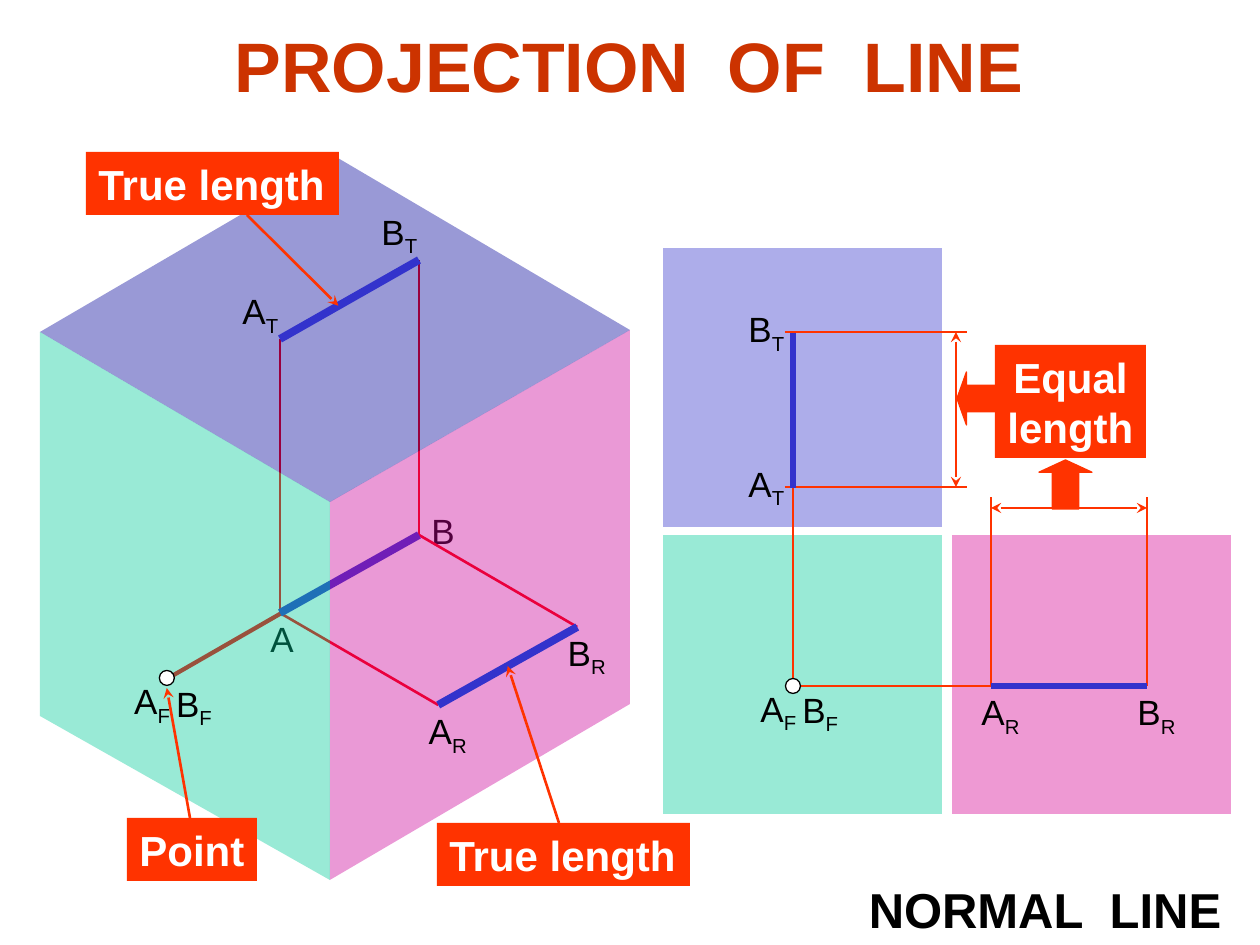
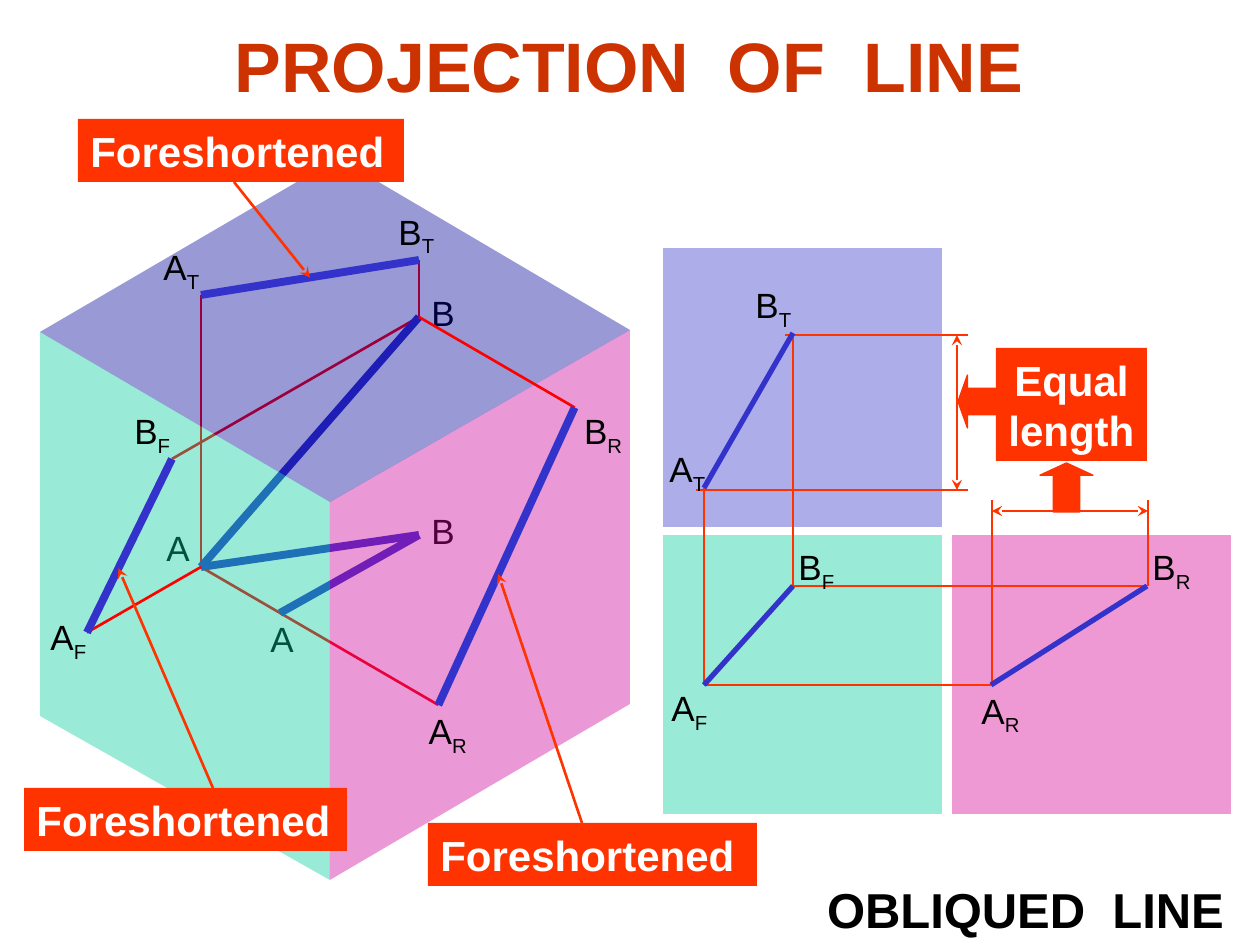
from lxml import etree
from pptx import Presentation
from pptx.dml.color import RGBColor
from pptx.enum.shapes import MSO_CONNECTOR as CONN, MSO_SHAPE as SHAPE
from pptx.enum.text import MSO_AUTO_SIZE as AUTO, PP_ALIGN as ALIGN
from pptx.oxml.ns import qn
from pptx.util import Pt

PX = 914400 / 126
WIDTH, HEIGHT = 1260, 945
FONT = "Arial"
COLORS = {
    "title": "CC3300", "text": "000000", "white": "FFFFFF",
    "ray": "FF0000", "accent": "FF3300", "edge": "3333CC",
    "front": "00CC99", "side": "D60093", "top": "3333CC",
    "side_face": "CC0099", "top_face": "000099",
}

# Shared content
TITLE = "PROJECTION  OF  LINE"
VIEW_SIZE = 281
VIEWS = {"front": (662, 534), "side": (951, 534), "top": (662, 247)}
CORNERS = {
    "left": (40, 332), "centre": (330, 502), "right": (630, 330),
    "back": (338, 158), "left_foot": (40, 716), "centre_foot": (330, 880),
    "right_foot": (630, 704),
}
FACES = {
    "side_face": ("centre", "right", "right_foot", "centre_foot"),
    "top_face": ("left", "centre", "right", "back"),
    "front": ("left", "centre", "centre_foot", "left_foot"),
}

# Screen direction from a point in the cube to each face: Front, Right, Top
AXES = {"F": (-0.87, 0.5), "R": (0.86, 0.5), "T": (0, -1)}
# Flat views: row of each end in the top view, column in the side view
ROWS = {"A": 488, "B": 333}
COLS = {"A": 991, "B": 1147}

# Label box corner relative to its point
PLACES = {
    "below": (-22, -2), "below left": (-45, -5), "below right": (-3, -4),
    "above": (-33, -56), "above left": (-50, -56), "above right": (-7, -47),
    "left": (-57, -32), "lower left": (-49, -23), "upper left": (-47, -47),
    "right": (0, -32),
}

# cube: end position, then its distance to each face; flat: front view.
# callouts: text, left, top, width, arrow start, view, place along A to B.
NORMAL = {
    "caption": ("NORMAL  LINE", 430),
    "cube": {"A": ((280, 613), {"F": 130, "R": 184, "T": 274}),
             "B": ((419, 535), {"F": 290, "R": 184, "T": 275})},
    "flat": {"A": (793, 686), "B": (793, 686)},
    "cube_labels": {"A": "below", "B": "right", "BR": "below", "AR": "below",
                    "AF": "below left", "BF": "below right",
                    "AT": "above left", "BT": "above left"},
    "flat_labels": {"AF": "below left", "BF": "below right", "BR": "below",
                    "AR": "below", "AT": "left", "BT": "left"},
    "point_view": True, "over": (), "ghost": None,
    "shift": (0, -1), "wrap": False,
    "callouts": [("True length", 86, 152, 253, 247, "T", 0.42),
                 ("True length", 437, 823, 253, 559, "R", 0.5),
                 ("Point", 127, 818, 130, 190, "F", 0.5)],
}
OBLIQUE = {
    "caption": ("OBLIQUED  LINE", 469),
    "cube": {"A": ((201, 567), {"F": 131, "R": 276, "T": 272}),
             "B": ((419, 317), {"F": 284, "R": 181, "T": 57})},
    "flat": {"A": (704, 685), "B": (793, 586)},
    "cube_labels": {"A": "upper left", "B": "right", "BR": "below right",
                    "AR": "below", "AF": "lower left", "BF": "above left",
                    "AT": "above left", "BT": "above"},
    "flat_labels": {"AF": "below left", "BF": "above right",
                    "BR": "above right", "AR": "below",
                    "AT": "upper left", "BT": "above left"},
    "point_view": False, "over": ("AF", "BR"), "ghost": NORMAL,
    "shift": (1, 2), "wrap": True,
    "callouts": [("Foreshortened", 428, 823, 329, 582, "R", 0.44),
                 ("Foreshortened", 24, 788, 323, 213, "F", 0.37),
                 ("Foreshortened", 78, 119, 326, 234, "T", 0.5)],
}


def px(*values):
    return [round(v * PX) for v in values]


def color(name):
    return RGBColor.from_string(COLORS[name])


def paint(sp, fill, line=None, alpha=None):
    sp.shadow.inherit = False
    sp.fill.solid()
    sp.fill.fore_color.rgb = color(fill)
    if alpha:
        clr = sp.fill._xPr.find(qn("a:solidFill"))[0]
        etree.SubElement(clr, qn("a:alpha"), val=str(alpha * 1000))
    if line:
        sp.line.color.rgb = color(line)
        sp.line.width = Pt(0.75)
    else:
        sp.line.fill.background()


def add_shape(s, kind, box, fill, line, alpha=None):
    sp = s.shapes.add_shape(kind, *px(*box))
    paint(sp, fill, line, alpha)
    return sp


def add_text(s, lines, box, size, ink="text", bold=False, center=False,
             wrap=False, fill=None):
    """Each line is a list of runs; runs after the first are subscripts."""
    sp = s.shapes.add_textbox(*px(*box))
    if fill:
        paint(sp, fill)
    tf = sp.text_frame
    tf.word_wrap = wrap
    tf.auto_size = AUTO.SHAPE_TO_FIT_TEXT
    for i, runs in enumerate(lines):
        p = tf.add_paragraph() if i else tf.paragraphs[0]
        p.alignment = ALIGN.CENTER if center else ALIGN.LEFT
        p.font.name, p.font.size, p.font.bold = FONT, Pt(size), bold
        p.font.color.rgb = color(ink)
        for j, text in enumerate(runs):
            r = p.add_run()
            r.text = text
            if j:
                r._r.get_or_add_rPr().set("baseline", "-25000")


def add_line(s, start, end, ink="accent", width=1.5, heads=()):
    c = s.shapes.add_connector(CONN.STRAIGHT, *px(*start, *end))
    c.line.color.rgb = color(ink)
    c.line.width = Pt(width)
    for head in heads:
        etree.SubElement(c.line._get_or_add_ln(), qn(f"a:{head}"), type="stealth")
    etree.SubElement(c._element.spPr, qn("a:effectLst"))


def add_label(s, name, point, place):
    x, y = (v + d for v, d in zip(point, PLACES[place]))
    width = 49 if len(name) == 1 else 66 if name[1] == "R" else 63
    add_text(s, [list(name)], (x, y, width, 54), 20)


def add_dot(s, center):
    size = 15
    x, y = (v - size / 2 for v in center)
    add_shape(s, SHAPE.OVAL, (x, y, size, size), "white", "text")


def cube_points(data):
    points = {}
    for end, ((x, y), distances) in data["cube"].items():
        points[end] = (x, y)
        for view, d in distances.items():
            ax, ay = AXES[view]
            points[end + view] = (x + d * ax, y + d * ay)
    return points


def flat_points(data):
    points = {}
    for end, (x, y) in data["flat"].items():
        points[end + "F"] = (x, y)
        points[end + "T"] = (x, ROWS[end])
        points[end + "R"] = (COLS[end], y)
    return points


def add_inside(s, data, points):
    ghost = data["ghost"]
    ghost_points = cube_points(ghost) if ghost else {}
    for owner, spots in ((data, points), (ghost, ghost_points)):
        if owner:
            for end in "AB":
                add_label(s, end, spots[end], owner["cube_labels"][end])
    for name in points:
        if len(name) == 2 and name not in data["over"]:
            add_line(s, points[name[0]], points[name], "ray")
    edges = [(points["A"], points["B"])]
    if ghost:
        edges += [(ghost_points["B"], a) for a in (points["A"], ghost_points["A"])]
    for start, end in edges:
        add_line(s, start, end, "edge", 4.5)


def add_projections(s, points, labels, width, point_view):
    for name, place in labels.items():
        if len(name) == 2:
            add_label(s, name, points[name], place)
    for view in "RT" if point_view else "FRT":
        add_line(s, points["A" + view], points["B" + view], "edge", width)
    if point_view:
        add_dot(s, points["AF"])


def add_equal_length(s, data):
    dx, dy = data["shift"]
    rows = {end: y + dy for end, y in ROWS.items()}
    cols = {end: x + dx for end, x in COLS.items()}
    dim_x, dim_y = 956 + dx, 509 + dy
    # Extension lines, then the two dimension arrows
    for end, (x, y) in data["flat"].items():
        add_line(s, (x - 8, rows[end]), (dim_x + 11, rows[end]))
        add_line(s, (cols[end], y), (cols[end], dim_y - 11))
    both = ("headEnd", "tailEnd")
    add_line(s, (dim_x, rows["B"]), (dim_x, rows["A"]), heads=both)
    add_line(s, (cols["A"], dim_y), (cols["B"], dim_y), heads=both)
    # Box with block arrows
    add_text(s, [["Equal"], ["length"]], (995 + dx, 346 + dy, 151, 113), 24,
             "white", bold=True, center=True, fill="accent")
    for kind, box in ((SHAPE.UP_ARROW, (1039 + dx, dim_y - 48, 53, 49)),
                      (SHAPE.LEFT_ARROW, (dim_x + 1, 373 + dy, 38, 53))):
        sp = add_shape(s, kind, box, "accent", "accent")
        sp.adjustments[0], sp.adjustments[1] = 0.5, 0.25


def add_callouts(s, data, points):
    height = 63
    for text, x, y, width, start_x, view, share in data["callouts"]:
        add_text(s, [[text]], (x, y, width, height), 24, "white", bold=True,
                 wrap=data["wrap"], fill="accent")
        a, b = points["A" + view], points["B" + view]
        tip_x, tip_y = (p + (q - p) * share for p, q in zip(a, b))
        if view == "F" and data["point_view"]:
            tip_y += 9
        start_y = y if tip_y < y else y + height
        add_line(s, (start_x, start_y), (tip_x, tip_y), heads=("tailEnd",))


def build(prs, data):
    s = prs.slides.add_slide(prs.slide_layouts[6])
    cube, flat = cube_points(data), flat_points(data)
    add_inside(s, data, cube)
    # Flat views
    for fill, corner in VIEWS.items():
        add_shape(s, SHAPE.RECTANGLE, (*corner, VIEW_SIZE, VIEW_SIZE), fill, "white", 40)
    for end in "AB":
        for view in "TR":
            add_line(s, flat[end + "F"], flat[end + view])
    add_equal_length(s, data)
    add_projections(s, flat, data["flat_labels"], 3, data["point_view"])
    # Transparent cube
    for fill, names in FACES.items():
        first, *rest = [CORNERS[name] for name in names]
        fb = s.shapes.build_freeform(*first, scale=PX)
        fb.add_line_segments(rest, close=True)
        paint(fb.convert_to_shape(), fill, alpha=40)
    for name in data["over"]:
        add_line(s, cube[name[0]], cube[name], "ray")
    add_projections(s, cube, data["cube_labels"], 4.5, data["point_view"])
    add_callouts(s, data, cube)
    # Title and caption
    add_text(s, [[TITLE]], (222, 16, 814, 97), 40, "title", bold=True, center=True)
    caption, width = data["caption"]
    add_text(s, [[caption]], (WIDTH - width, 873, width, 72), 28, bold=True,
             center=True, wrap=True)


def main():
    prs = Presentation()
    prs.slide_width, prs.slide_height = px(WIDTH, HEIGHT)
    for data in (NORMAL, OBLIQUE):
        build(prs, data)
    prs.save("out.pptx")


if __name__ == "__main__":
    main()
